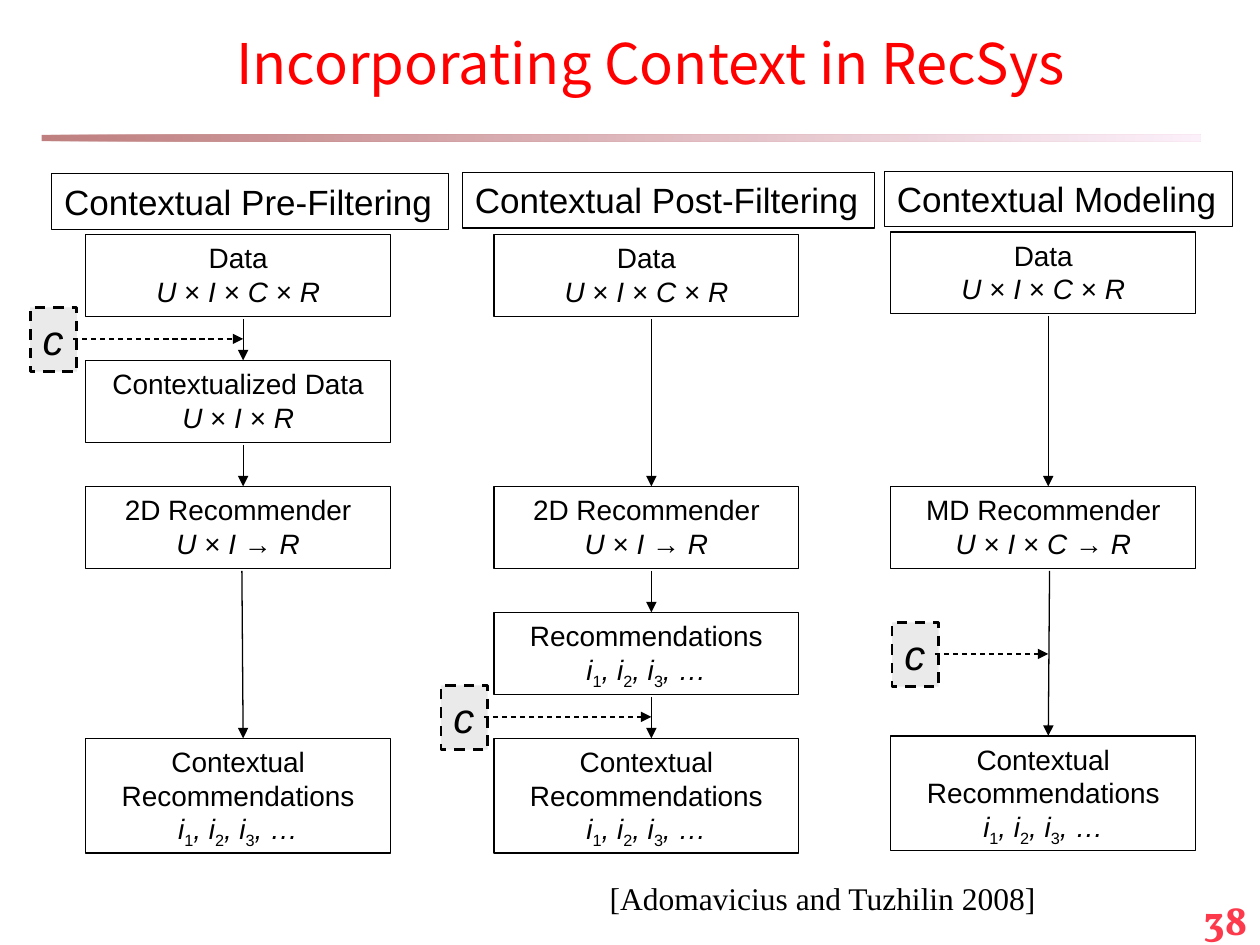
import itertools

import lxml.etree
import pptx
import pptx.dml.color
import pptx.enum.dml
import pptx.enum.shapes
import pptx.enum.text
import pptx.oxml.ns
import pptx.util

Inches = pptx.util.Inches
ALIGN = pptx.enum.text.PP_ALIGN
AUTO_SIZE = pptx.enum.text.MSO_AUTO_SIZE
DASH = pptx.enum.dml.MSO_LINE.DASH

BLACK = "000000"
STEP_WIDTH = 2.42
STEP_FONT = {"name": "Arial", "size": pptx.util.Pt(16)}
HEADING_FONT = {"name": "Arial", "size": pptx.util.Pt(20)}
CONTEXT_FONT = {"name": "Arial", "size": pptx.util.Pt(24), "italic": True}
TITLE_FONT = {"name": "Noto Sans CJK SC", "size": pptx.util.Pt(32)}
NUMBER_FONT = {"name": "Vollkorn", "size": pptx.util.Pt(24), "bold": True}
CITATION_FONT = {"name": "Times New Roman", "size": pptx.util.Pt(18)}

DATA = ("Data", "U × I × C × R")
RECOMMENDER = ("2D Recommender", "U × I → R")
ITEMS = "i1, i2, i3, …"
RESULT = ("Contextual Recommendations", ITEMS)

COLUMNS = [
    {"left": 0.68, "top": 1.86, "heading": "Contextual Pre-Filtering",
     "heading_box": (-0.27, -0.48, 3.15, 0.44), "context": (-0.44, 0.58),
     "steps": [(0, 0, *DATA), (1, 0, "Contextualized Data", "U × I × R"),
               (2, -0.01, *RECOMMENDER), (4, 0, *RESULT)]},
    {"left": 3.92, "top": 1.86, "heading": "Contextual Post-Filtering",
     "heading_box": (-0.25, -0.49, 3.27, 0.44), "context": (-0.42, 3.58),
     "steps": [(0, 0, *DATA), (2, 0, *RECOMMENDER),
               (3, 0, "Recommendations", ITEMS), (4, 0, *RESULT)]},
    {"left": 7.07, "top": 1.84, "heading": "Contextual Modeling",
     "heading_box": (-0.05, -0.48, 2.76, 0.44), "context": (0.01, 3.1),
     "steps": [(0, 0, *DATA), (2.02, 0.01, "MD Recommender", "U × I × C → R"),
               (4, 0, *RESULT)]},
]


def rgb(hex_colour):
    return pptx.dml.color.RGBColor.from_string(hex_colour)


def apply_format(target, values):
    for attribute, value in values.items():
        setattr(target, attribute, value)


def add_run(paragraph, text, font, colour=BLACK):
    run = paragraph.add_run()
    run.text = text
    apply_format(run.font, font)
    run.font.color.rgb = rgb(colour)
    return run


def add_formula(paragraph, formula):
    def role(symbol):
        if symbol.isdigit():
            return "subscript"
        return "operator" if symbol in "×→" else "variable"

    for kind, symbols in itertools.groupby(formula, role):
        run = add_run(paragraph, "".join(symbols),
                      {**STEP_FONT, "italic": kind == "variable"})
        if kind == "subscript":
            run._r.get_or_add_rPr().set("baseline", "-25000")


def add_box(slide, box, fill=None, width=0.75, dash=None, wrap=False):
    shape = slide.shapes.add_shape(pptx.enum.shapes.MSO_SHAPE.RECTANGLE, *map(Inches, box))
    shape.shadow.inherit = False
    if fill:
        shape.fill.solid()
        shape.fill.fore_color.rgb = rgb(fill)
    else:
        shape.fill.background()
    shape.line.color.rgb = rgb(BLACK)
    apply_format(shape.line, {"width": pptx.util.Pt(width), "dash_style": dash})
    apply_format(shape.text_frame, {
        "word_wrap": wrap,
        "auto_size": AUTO_SIZE.NONE if wrap else AUTO_SIZE.SHAPE_TO_FIT_TEXT,
        "vertical_anchor": pptx.enum.text.MSO_ANCHOR.TOP})
    shape.text_frame.paragraphs[0].alignment = ALIGN.LEFT
    return shape


def add_arrow(slide, start, end, dash=None):
    arrow = slide.shapes.add_connector(
        pptx.enum.shapes.MSO_CONNECTOR.STRAIGHT, *map(Inches, (*start, *end)))
    arrow.line.color.rgb = rgb(BLACK)
    apply_format(arrow.line, {"width": pptx.util.Pt(0.75), "dash_style": dash})
    qn = pptx.oxml.ns.qn
    lxml.etree.SubElement(arrow.line._get_or_add_ln(), qn("a:tailEnd"), type="triangle")
    lxml.etree.SubElement(arrow._element.spPr, qn("a:effectLst"))


def add_step(slide, left, top, name, formula):
    height = 0.91 if name == RESULT[0] else 0.65
    frame = add_box(slide, (left, top, STEP_WIDTH, height), wrap=True).text_frame
    name_line, formula_line = frame.paragraphs[0], frame.add_paragraph()
    name_line.alignment = formula_line.alignment = ALIGN.CENTER
    add_run(name_line, name, STEP_FONT)
    add_formula(formula_line, formula)


def add_column(slide, left, top, heading, heading_box, context, steps):
    axis = left + 1.25
    for row, _, name, formula in steps:
        add_step(slide, left, top + row, name, formula)
    for (row, lean, *_), (next_row, *_) in itertools.pairwise(steps):
        add_arrow(slide, (axis + lean, top + row + 0.67), (axis, top + next_row))

    dx, dy, width, height = heading_box
    heading_shape = add_box(slide, (left + dx, top + dy, width, height))
    add_run(heading_shape.text_frame.paragraphs[0], heading, HEADING_FONT)

    context_left, context_top = left + context[0], top + context[1]
    context_shape = add_box(slide, (context_left, context_top, 0.37, 0.51),
                            fill="EAEAEA", width=1.5, dash=DASH)
    add_run(context_shape.text_frame.paragraphs[0], "c", CONTEXT_FONT)
    context_y = context_top + 0.25
    add_arrow(slide, (context_left + 0.34, context_y), (axis, context_y), DASH)


def add_title(slide, box):
    title = slide.shapes.title
    apply_format(title, dict(zip(("left", "top", "width", "height"), map(Inches, box))))
    apply_format(title.text_frame, {
        "word_wrap": True, "margin_top": 0, "auto_size": AUTO_SIZE.NONE,
        "vertical_anchor": pptx.enum.text.MSO_ANCHOR.TOP})
    line = title.text_frame.paragraphs[0]
    line.alignment = ALIGN.CENTER
    add_run(line, "Incorporating Context in RecSys", TITLE_FONT, "FF0000")


def add_rule(slide, box):
    rule = slide.shapes.add_shape(pptx.enum.shapes.MSO_SHAPE.RECTANGLE, *map(Inches, box))
    rule.shadow.inherit = False
    rule.line.fill.background()
    rule.fill.gradient()
    rule.fill.gradient_angle = 0
    for stop, position, colour in zip(rule.fill.gradient_stops, (0, 1), ("800000", "FAE2F6")):
        stop.position = position
        stop.color.rgb = rgb(colour)
    for tint in rule._element.spPr.iter(pptx.oxml.ns.qn("a:srgbClr")):
        lxml.etree.SubElement(tint, pptx.oxml.ns.qn("a:alpha"), val="50000")


def add_caption(slide, box, text, font, colour=BLACK, alignment=ALIGN.LEFT, wrap=True):
    frame = slide.shapes.add_textbox(*map(Inches, box)).text_frame
    frame.word_wrap = wrap
    frame.paragraphs[0].alignment = alignment
    add_run(frame.paragraphs[0], text, font, colour)


def main():
    deck = pptx.Presentation()
    apply_format(deck, {"slide_width": Inches(10), "slide_height": Inches(7.5)})
    slide = deck.slides.add_slide(deck.slide_layouts.get_by_name("Title Only"))
    add_rule(slide, (0.33, 1.07, 9.2, 0.05))
    add_caption(slide, (7.67, 7.04, 2.33, 0.44), "38", NUMBER_FONT, "FC3A4C", ALIGN.RIGHT)
    add_title(slide, (0.33, 0.23, 9.67, 0.92))
    for column in COLUMNS:
        add_column(slide, **column)
    add_caption(slide, (4.74, 6.93, 3.62, 0.4), "[Adomavicius and Tuzhilin 2008]",
                CITATION_FONT, wrap=False)
    deck.save("out.pptx")


if __name__ == "__main__":
    main()
